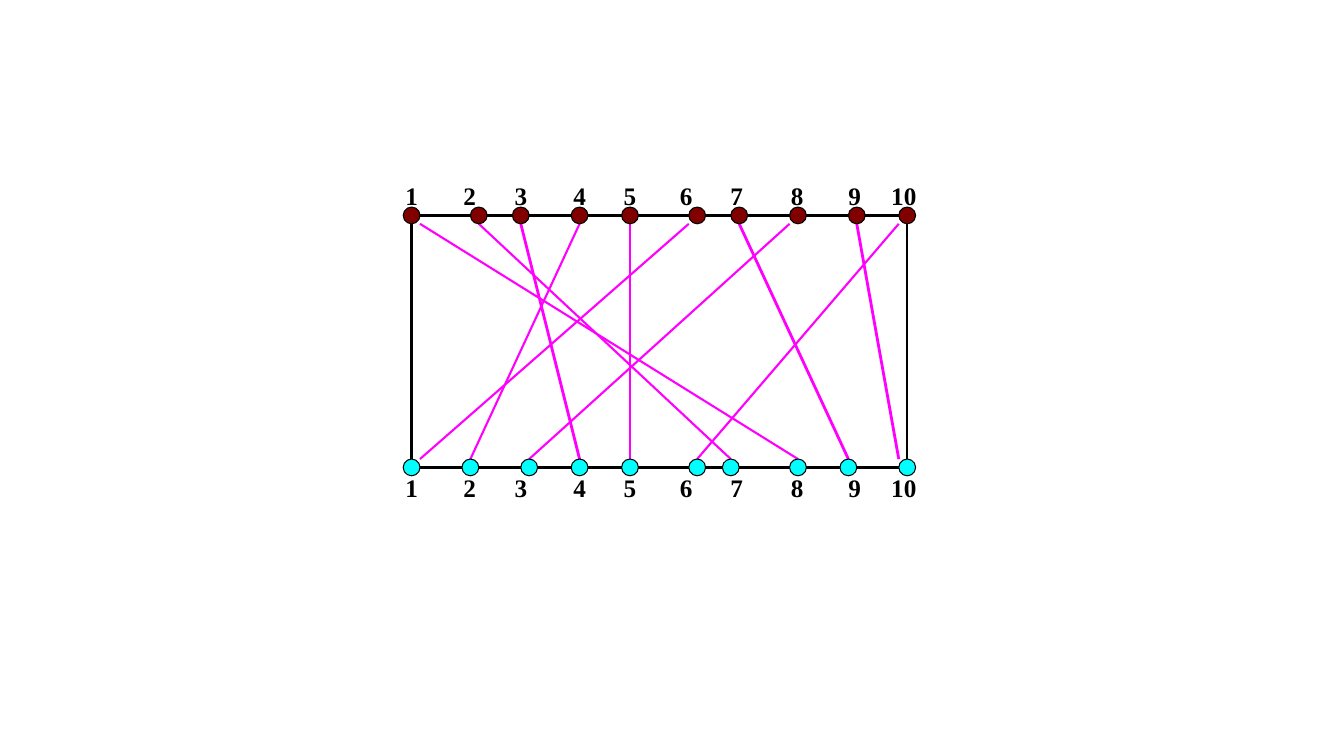
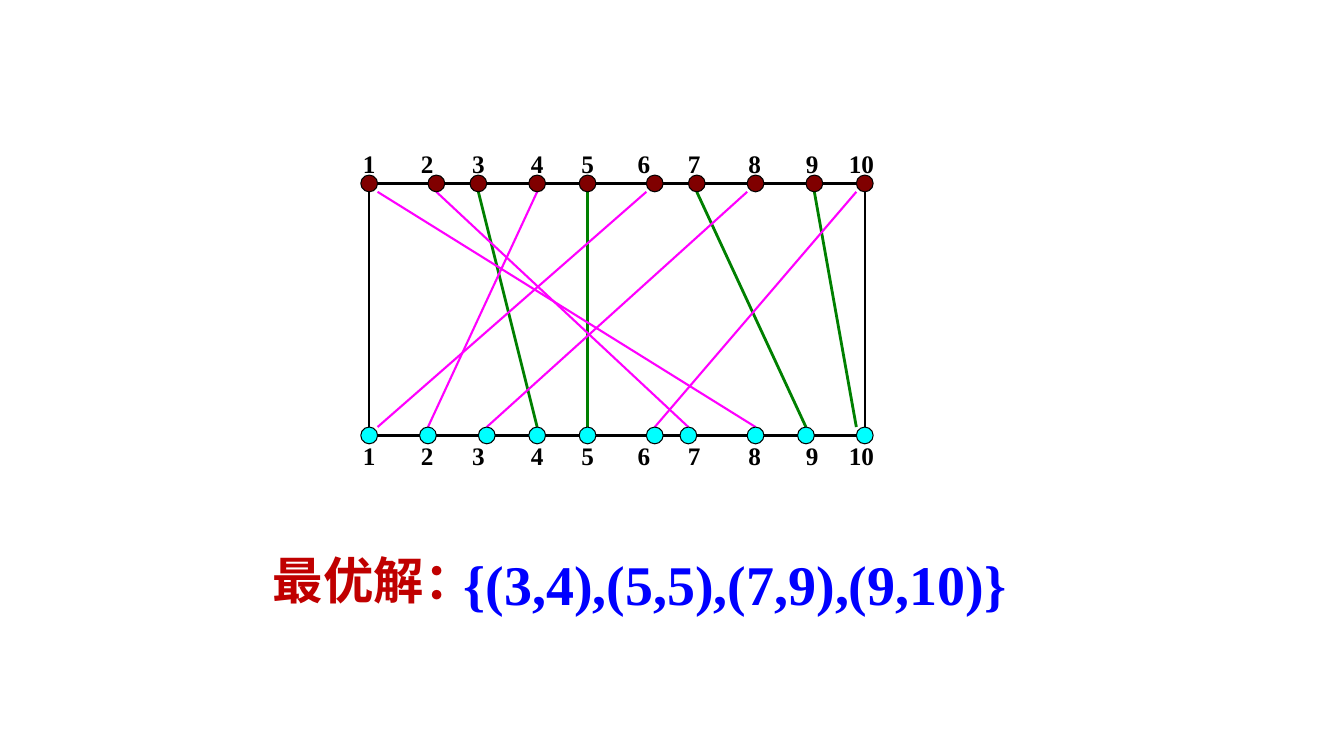
from dataclasses import dataclass

from lxml import etree
from pptx import Presentation
from pptx.dml.color import RGBColor
from pptx.enum.shapes import MSO_CONNECTOR, MSO_SHAPE
from pptx.enum.text import MSO_AUTO_SIZE, PP_ALIGN
from pptx.oxml.ns import qn
from pptx.slide import Slide
from pptx.util import Emu, Inches, Pt

STRAIGHT = MSO_CONNECTOR.STRAIGHT
OVAL = MSO_SHAPE.OVAL
FIT_SHAPE = MSO_AUTO_SIZE.SHAPE_TO_FIT_TEXT
LEFT, CENTER = PP_ALIGN.LEFT, PP_ALIGN.CENTER

BLACK = RGBColor(0x00, 0x00, 0x00)
MAROON = RGBColor(0x80, 0x00, 0x00)
CYAN = RGBColor(0x00, 0xFF, 0xFF)
MAGENTA = RGBColor(0xFF, 0x00, 0xFF)
GREEN = RGBColor(0x00, 0x80, 0x00)
BLUE = RGBColor(0x00, 0x00, 0xFF)
RED = RGBColor(0xC0, 0x00, 0x00)

SLIDE_W, SLIDE_H = Inches(13.333), Inches(7.5)
GRID_COLS = 160
UNIT = SLIDE_W / GRID_COLS

BOARD_W, BOARD_H = 59, 30
PIN_SIZE = 2
LABEL_H = 4.8
TOP_PINS = (0, 8, 13, 20, 26, 34, 39, 46, 53, 59)
BOTTOM_PINS = (0, 7, 14, 20, 26, 34, 38, 46, 52, 59)
LABEL_COLS = (0, 6.9, 13, 20, 26, 32.7, 38.7, 45.9, 52.75, 58.6)

LATIN, CHINESE = "Times New Roman", "Noto Sans CJK SC"
LABEL_FORMAT = {"name": LATIN, "size": Pt(18), "bold": True}
SOLUTION_FORMAT = {"name": LATIN, "size": Pt(40), "bold": True}
HEADING_FORMAT = {"name": CHINESE, "size": Pt(36), "bold": True}


@dataclass(frozen=True)
class Board:
    col: float
    row: float
    optimal_color: RGBColor


@dataclass(frozen=True)
class Wire:
    top: int
    bottom: int
    top_shift: int = 0
    bottom_shift: int = 0
    optimal: bool = False


@dataclass(frozen=True)
class Caption:
    text: str
    col: float
    row: float
    width: float
    height: float
    font: dict
    color: RGBColor


WIRES = (
    Wire(9, 10, bottom_shift=-1, optimal=True),
    Wire(7, 9, optimal=True),
    Wire(5, 5, optimal=True),
    Wire(3, 4, optimal=True),
    Wire(6, 1, top_shift=-1, bottom_shift=1),
    Wire(1, 8, top_shift=1),
    Wire(2, 7),
    Wire(4, 2),
    Wire(10, 6, top_shift=-1),
    Wire(8, 3, top_shift=-1),
)
FIRST_BOARD = Board(49, 25.65, MAGENTA)
SOLVED_BOARD = Board(43.95, 21.84, GREEN)
CAPTIONS = (
    Caption("{(3,4),(5,5),(7,9),(9,10)}", 54, 64.8, 69, 9.24, SOLUTION_FORMAT, BLUE),
    Caption("最优解：", 31.32, 64.8, 26.64, 8.52, HEADING_FORMAT, RED),
)


def grid(*counts: float) -> list[Emu]:
    return [Emu(round(n * UNIT)) for n in counts]


def add_line(s: Slide, board: Board, x1: float, y1: float, x2: float, y2: float,
             color: RGBColor, width: float) -> None:
    ends = grid(board.col + x1, board.row + y1, board.col + x2, board.row + y2)
    line = s.shapes.add_connector(STRAIGHT, *ends)
    line.line.color.rgb = color
    line.line.width = Pt(width)
    etree.SubElement(line._element.spPr, qn("a:effectLst"))


def add_text(s: Slide, caption: Caption, align: PP_ALIGN = LEFT) -> None:
    box = grid(caption.col, caption.row, caption.width, caption.height)
    tf = s.shapes.add_textbox(*box).text_frame
    tf.word_wrap = False
    tf.auto_size = FIT_SHAPE
    p = tf.paragraphs[0]
    p.alignment = align
    r = p.add_run()
    r.text = caption.text
    for key, value in caption.font.items():
        setattr(r.font, key, value)
    r.font.color.rgb = caption.color
    ea = etree.SubElement(r.font._element, qn("a:ea"))
    ea.set("typeface", caption.font["name"])


def add_pin(s: Slide, board: Board, col: float, row: float, color: RGBColor) -> None:
    left, top = board.col + col - PIN_SIZE / 2, board.row + row - PIN_SIZE / 2
    sp = s.shapes.add_shape(OVAL, *grid(left, top, PIN_SIZE, PIN_SIZE))
    sp.shadow.inherit = False
    sp.fill.solid()
    sp.fill.fore_color.rgb = color
    sp.line.color.rgb = BLACK
    sp.line.width = Pt(0.75)


def add_board(s: Slide, board: Board) -> None:
    for row in (0, BOARD_H):
        add_line(s, board, 0, row, BOARD_W, row, BLACK, 2)
    for col in (0, BOARD_W):
        add_line(s, board, col, 1, col, BOARD_H - 1, BLACK, 1.75)

    for row in (-LABEL_H, BOARD_H):
        for number, col in enumerate(LABEL_COLS, 1):
            text = str(number)
            width = 4 if len(text) == 1 else 5.4
            label = Caption(text, board.col + col - width / 2, board.row + row,
                            width, LABEL_H, LABEL_FORMAT, BLACK)
            add_text(s, label, CENTER)

    for wire in WIRES:
        add_line(s, board,
                 TOP_PINS[wire.top - 1] + wire.top_shift, 1,
                 BOTTOM_PINS[wire.bottom - 1] + wire.bottom_shift, BOARD_H - 1,
                 board.optimal_color if wire.optimal else MAGENTA,
                 2 if wire.optimal else 1.5)

    for cols, row, color in ((TOP_PINS, 0, MAROON), (BOTTOM_PINS, BOARD_H, CYAN)):
        for col in cols:
            add_pin(s, board, col, row, color)


def main() -> None:
    prs = Presentation()
    prs.slide_width, prs.slide_height = SLIDE_W, SLIDE_H
    blank = prs.slide_layouts[6]
    for board, captions in ((FIRST_BOARD, ()), (SOLVED_BOARD, CAPTIONS)):
        s = prs.slides.add_slide(blank)
        add_board(s, board)
        for caption in captions:
            add_text(s, caption)
    prs.save("out.pptx")


if __name__ == "__main__":
    main()
